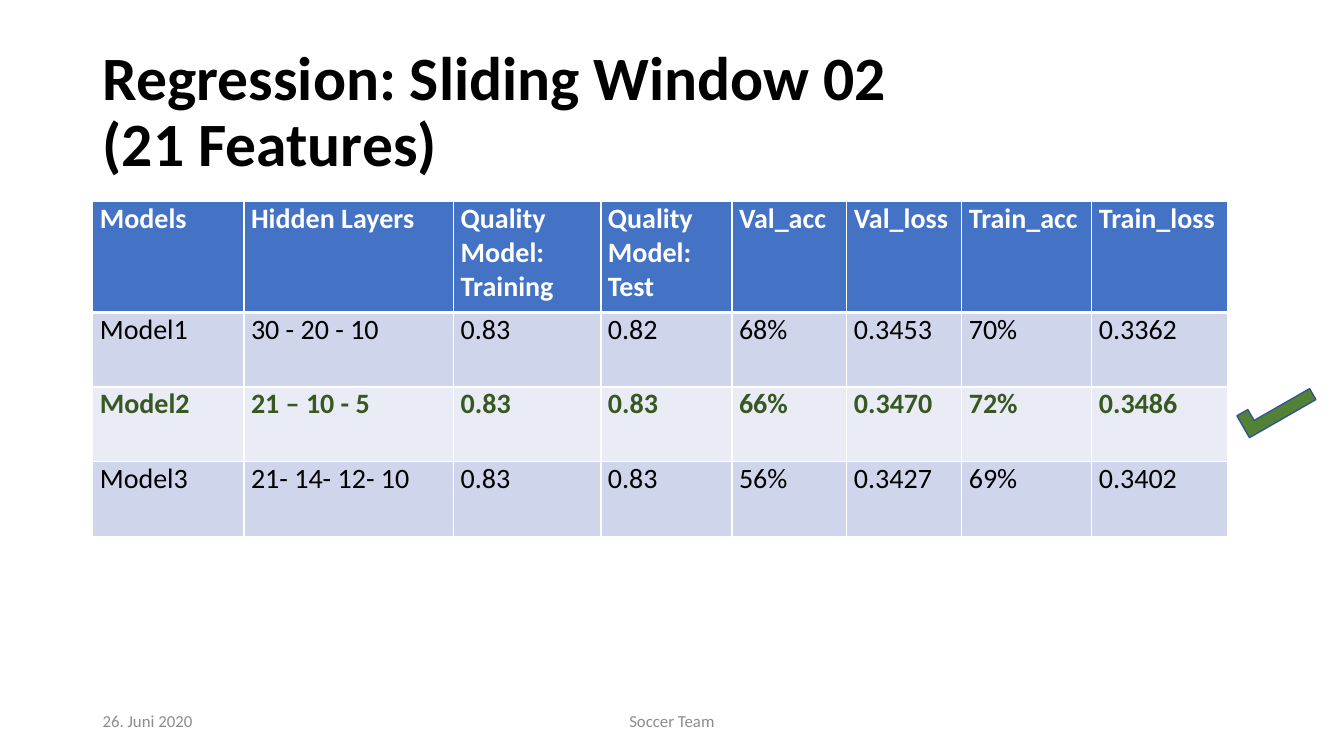
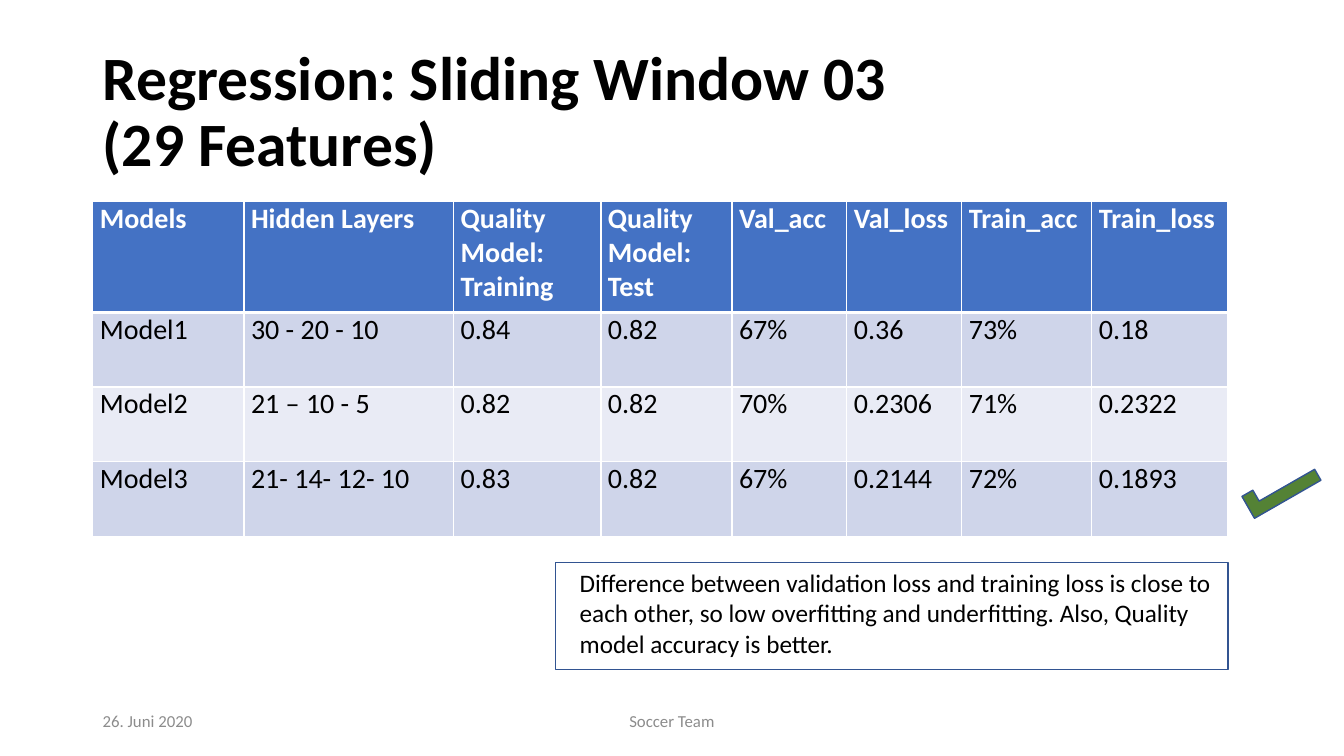
from collections import namedtuple

from lxml.etree import SubElement
from pptx import Presentation
from pptx.dml.color import RGBColor
from pptx.enum.shapes import MSO_SHAPE
from pptx.enum.text import MSO_ANCHOR, PP_ALIGN
from pptx.oxml.ns import qn
from pptx.util import Inches, Pt

Box = namedtuple("Box", "left top width height")

FONT = "Calibri"
WHITE, BLACK, GREY = "FFFFFF", "000000", "8C8C8C"
HEADER_BLUE, OUTLINE_BLUE = "4472C4", "325491"
BANDS = ("CFD5EA", "E9EBF5")
BEST_GREEN, CHECK_GREEN = "385723", "548235"

SLIDE = Box(0, 0, 13.33, 7.5)
MARGIN = 0.92
TITLE = Box(MARGIN, 0.4, SLIDE.width - 2 * MARGIN, 1.45)
TABLE = Box(MARGIN, 2, 11.26, 3.32)
NOTE = Box(5.51, 5.58, 6.67, 1.06)
FOOTER = Box(MARGIN, 6.95, SLIDE.width - 2 * MARGIN, 0.4)

HEADERS = ("Models", "Hidden Layers", "Quality Model: Training", "Quality Model: Test",
           "Val_acc", "Val_loss", "Train_acc", "Train_loss")
MODELS = (("Model1", "30 - 20 - 10"), ("Model2", "21 – 10 - 5"), ("Model3", "21- 14- 12- 10"))
COLUMN_WEIGHTS = (1.5, 2.08, 1.46, 1.3, 1.14, 1.14, 1.29, 1.35)
ROW_WEIGHTS = (1.1, 0.74, 0.74, 0.74)

WINDOW_02 = (("0.83", "0.82", "68%", "0.3453", "70%", "0.3362"),
             ("0.83", "0.83", "66%", "0.3470", "72%", "0.3486"),
             ("0.83", "0.83", "56%", "0.3427", "69%", "0.3402"))
WINDOW_03 = (("0.84", "0.82", "67%", "0.36", "73%", "0.18"),
             ("0.82", "0.82", "70%", "0.2306", "71%", "0.2322"),
             ("0.83", "0.82", "67%", "0.2144", "72%", "0.1893"))
NOTE_TEXT = ("Difference between validation loss and training loss is close to each other, "
             "so low overfitting and underfitting. Also, Quality model accuracy is better.")


def color(hex_string):
    return RGBColor.from_string(hex_string)


def inches(box):
    return [Inches(length) for length in box]


def split(total, weights):
    return [total * weight / sum(weights) for weight in weights]


def add_run(paragraph, text, size, hex_string, bold=False):
    run = paragraph.add_run()
    run.text = text
    run.font.name = FONT
    run.font.size = Pt(size)
    run.font.bold = bold
    run.font.color.rgb = color(hex_string)


def add_text_box(slide, box):
    """Add a wrapping, vertically centred text box and return its first paragraph."""
    frame = slide.shapes.add_textbox(*inches(box)).text_frame
    frame.word_wrap = True
    frame.vertical_anchor = MSO_ANCHOR.MIDDLE
    return frame.paragraphs[0]


def add_outlined_rectangle(slide, box):
    shape = slide.shapes.add_shape(MSO_SHAPE.RECTANGLE, *inches(box))
    shape.shadow.inherit = False
    shape.line.color.rgb = color(OUTLINE_BLUE)
    shape.line.width = Pt(1)
    return shape


def add_title(slide, box, lines):
    paragraph = add_text_box(slide, box)
    paragraph.line_spacing = 0.9
    for index, line in enumerate(lines):
        if index:
            paragraph.add_line_break()
        add_run(paragraph, line, 44, BLACK, bold=True)


def add_footer(slide, box):
    date = add_text_box(slide, box._replace(width=3))
    add_run(date, "26. Juni 2020", 12, GREY)
    team_width = 4.5
    team_left = box.left + (box.width - team_width) / 2
    team = add_text_box(slide, box._replace(left=team_left, width=team_width))
    team.alignment = PP_ALIGN.CENTER
    add_run(team, "Soccer Team", 12, GREY)


def set_borders(cell, top, bottom):
    """Draw white cell borders; top and bottom are widths in points."""
    properties = cell._tc.get_or_add_tcPr()
    for side, width in (("L", 1), ("R", 1), ("T", top), ("B", bottom)):
        line = SubElement(properties, qn(f"a:ln{side}"), w=str(Pt(width)))
        SubElement(SubElement(line, qn("a:solidFill")), qn("a:srgbClr"), val=WHITE)


def fill_cell(cell, text, fill, text_color, bold):
    cell.margin_left = cell.margin_right = Inches(0.07)
    cell.margin_top = cell.margin_bottom = 0
    cell.fill.solid()
    cell.fill.fore_color.rgb = color(fill)
    add_run(cell.text_frame.paragraphs[0], text, 20, text_color, bold)


def add_results_table(slide, box, results, highlighted_row):
    rows = [HEADERS] + [model + values for model, values in zip(MODELS, results)]
    table = slide.shapes.add_table(len(rows), len(HEADERS), *inches(box)).table
    for column, width in zip(table.columns, split(box.width, COLUMN_WEIGHTS)):
        column.width = Inches(width)
    for row, height in zip(table.rows, split(box.height, ROW_WEIGHTS)):
        row.height = Inches(height)
    for row_index, texts in enumerate(rows):
        if row_index == 0:
            style = (HEADER_BLUE, WHITE, True)
        else:
            best = row_index == highlighted_row
            style = (BANDS[(row_index - 1) % 2], BEST_GREEN if best else BLACK, best)
        for column_index, text in enumerate(texts):
            cell = table.cell(row_index, column_index)
            set_borders(cell, 3 if row_index == 1 else 1, 3 if row_index == 0 else 1)
            fill_cell(cell, text, *style)


def add_check_mark(slide, table_box, row, offset):
    """Place a check mark to the right of a table row, offset from its top right corner."""
    row_top = table_box.top + sum(split(table_box.height, ROW_WEIGHTS)[:row])
    box = Box(table_box.left + table_box.width + offset[0], row_top + offset[1], 0.76, 0.25)
    mark = add_outlined_rectangle(slide, box)
    # The L-shaped preset "corner" has no member in MSO_SHAPE.
    mark._element.spPr.find(qn("a:prstGeom")).set("prst", "corner")
    mark.rotation = 330.2
    mark.fill.solid()
    mark.fill.fore_color.rgb = color(CHECK_GREEN)


def add_note(slide, box, text):
    note = add_outlined_rectangle(slide, box)
    note.fill.background()
    frame = note.text_frame
    frame.word_wrap = True
    frame.vertical_anchor = MSO_ANCHOR.TOP
    frame.margin_left, frame.margin_right = Inches(0.24), Inches(0.05)
    paragraph = frame.paragraphs[0]
    paragraph.alignment = PP_ALIGN.LEFT
    add_run(paragraph, text, 18, BLACK)


def add_results_slide(presentation, title, results, best_row, mark_offset,
                      highlighted_row=None, note=None):
    slide = presentation.slides.add_slide(presentation.slide_layouts[6])
    add_title(slide, TITLE, title)
    add_results_table(slide, TABLE, results, highlighted_row)
    add_check_mark(slide, TABLE, best_row, mark_offset)
    if note:
        add_note(slide, NOTE, note)
    add_footer(slide, FOOTER)


def main():
    presentation = Presentation()
    presentation.slide_width = Inches(SLIDE.width)
    presentation.slide_height = Inches(SLIDE.height)
    add_results_slide(presentation, ("Regression: Sliding Window 02", "(21 Features)"),
                      WINDOW_02, best_row=2, mark_offset=(0.1, 0.08), highlighted_row=2)
    add_results_slide(presentation, ("Regression: Sliding Window 03", "(29 Features)"),
                      WINDOW_03, best_row=3, mark_offset=(0.15, 0.14), note=NOTE_TEXT)
    presentation.save("out.pptx")


if __name__ == "__main__":
    main()
